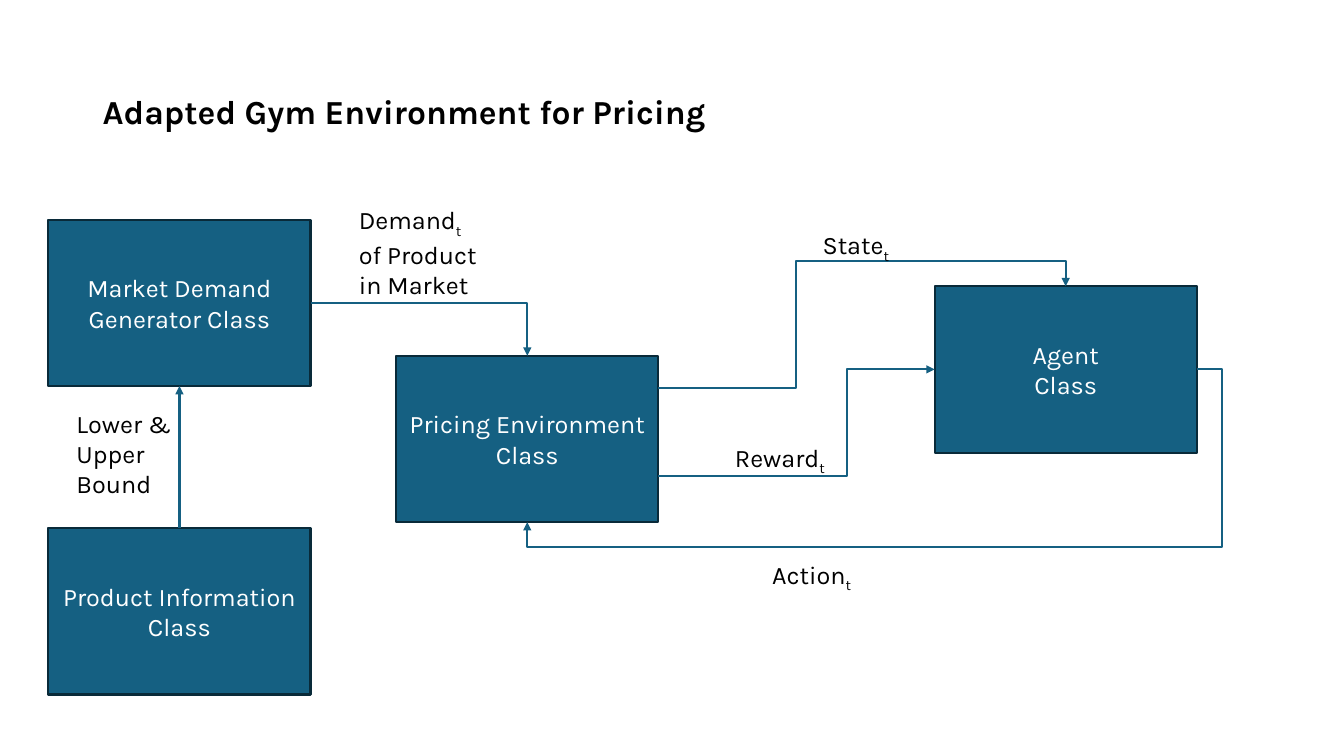
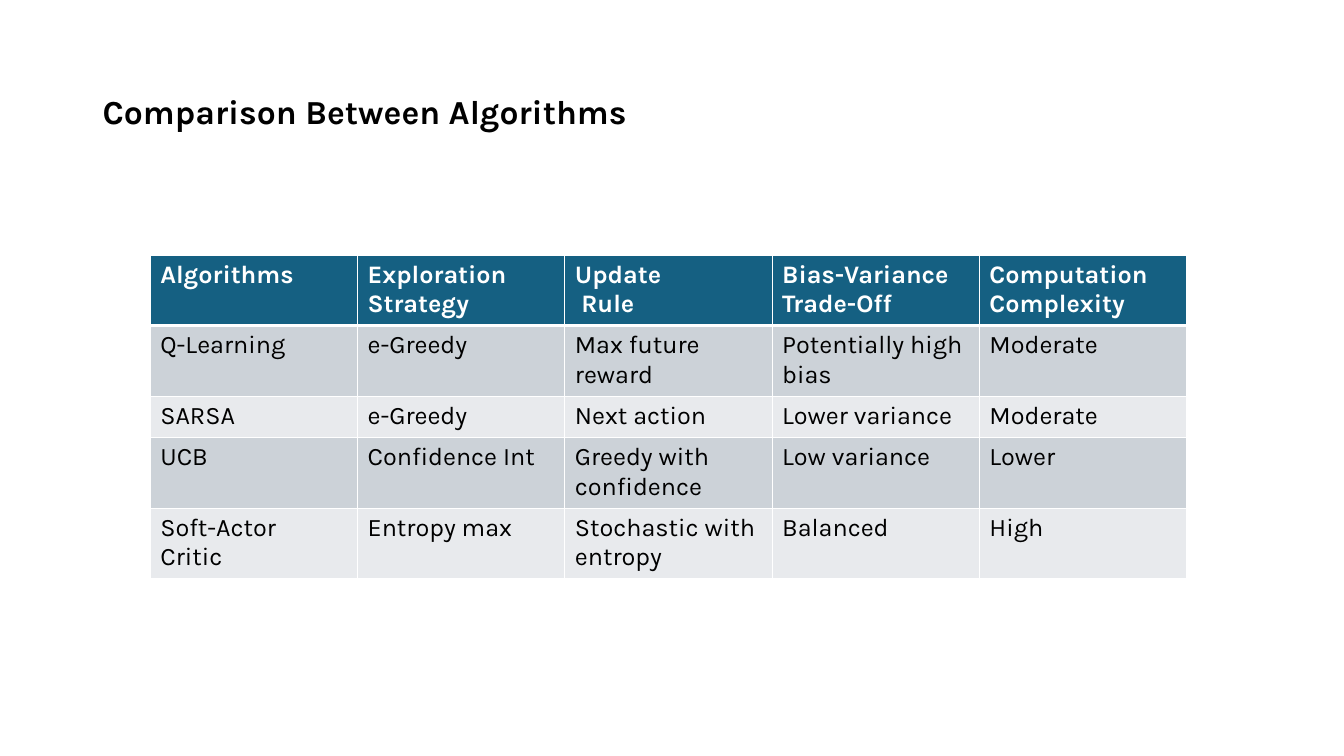
"""Build two slides on reinforcement learning for pricing: class diagram and algorithm comparison."""
import pptx
import pptx.dml.color
import pptx.enum.shapes
import pptx.enum.text
import pptx.oxml
import pptx.oxml.ns
import pptx.util
from pptx.util import Inches

RGB = pptx.dml.color.RGBColor.from_string
ALIGN = pptx.enum.text.PP_ALIGN
MIDDLE = pptx.enum.text.MSO_ANCHOR.MIDDLE
CONNECTOR = pptx.enum.shapes.MSO_CONNECTOR
NS = pptx.oxml.ns.nsdecls("a")
TOP, LEFT, BOTTOM, RIGHT = range(4)

THEME = {
    "blue": "156082", "outline": "092A39", "white": "FFFFFF", "bands": ["E8EAED", "CCD2D8"],
    "line": pptx.util.Pt(1.5), "thin": 12700, "thick": 38100,
    "title": {"name": "Karla", "size": pptx.util.Pt(24), "bold": True, "color": "000000"},
    "body": {"name": "Karla", "size": pptx.util.Pt(18), "bold": False, "color": "000000"},
}
THEME["on_blue"] = THEME["body"] | {"color": THEME["white"]}
THEME["header"] = THEME["on_blue"] | {"bold": True}


def write(frame, lines, style, **paragraph_format):
    """Fill a text frame with one paragraph per line; text after an underscore mark is a subscript t."""
    frame.word_wrap = True
    for index, line in enumerate(lines):
        paragraph = frame.add_paragraph() if index else frame.paragraphs[0]
        for key, value in paragraph_format.items():
            setattr(paragraph, key, value)
        before, mark, after = line.partition("_t")
        for text in filter(None, (before, mark[1:], after)):
            run = paragraph.add_run()
            run.text = text
            for key, value in style.items():
                if key == "color":
                    run.font.color.rgb = RGB(value)
                else:
                    setattr(run.font, key, value)
            if mark and text == "t":
                run._r.get_or_add_rPr().set("baseline", "-25000")


def titled_slide(title):
    """Add a blank slide with the shared title style."""
    slide = deck.slides.add_slide(deck.slide_layouts[6])
    heading = slide.shapes.add_textbox(Inches(0.92), Inches(0.4), Inches(11.5), Inches(1.45))
    heading.text_frame.vertical_anchor = MIDDLE
    write(heading.text_frame, [title], THEME["title"], line_spacing=0.9)
    return slide


deck = pptx.Presentation()
deck.slide_width, deck.slide_height = Inches(13.33), Inches(7.5)

diagram = titled_slide("Adapted Gym Environment for Pricing")
class_places = {
    "environment": (3.93, 3.53, ["Pricing Environment", "Class"]),
    "market": (0.48, 2.18, ["Market Demand Generator Class"]),
    "product": (0.48, 5.24, ["Product Information", "Class"]),
    "agent": (9.27, 2.84, ["Agent", "Class"]),
}
classes = {}
for key, (left, top, lines) in class_places.items():
    box = diagram.shapes.add_shape(pptx.enum.shapes.MSO_SHAPE.RECTANGLE,
                                   Inches(left), Inches(top), Inches(2.6), Inches(1.65))
    box.shadow.inherit = False
    box.fill.solid()
    box.fill.fore_color.rgb = RGB(THEME["blue"])
    box.line.color.rgb = RGB(THEME["outline"])
    box.line.width = THEME["line"]
    box.text_frame.vertical_anchor = MIDDLE
    write(box.text_frame, lines, THEME["on_blue"], alignment=ALIGN.CENTER)
    classes[key] = box

environment_right = 6.53
flows = [
    ("market", RIGHT, "environment", TOP, "bentConnector2", []),
    ("product", TOP, "market", BOTTOM, "line", []),
    (None, 4.72, "agent", LEFT, "bentConnector3", [68300]),
    ("agent", RIGHT, "environment", BOTTOM, "bentConnector4", [-3800, 116500]),
    (None, 3.85, "agent", TOP, "bentConnector4", [33900, 124700]),
]
for source, start, target, end, route, bends in flows:
    kind = CONNECTOR.STRAIGHT if route == "line" else CONNECTOR.ELBOW
    start_y = 0 if source else start
    flow = diagram.shapes.add_connector(kind, Inches(environment_right), Inches(start_y), 0, 0)
    if source:
        flow.begin_connect(classes[source], start)
    flow.end_connect(classes[target], end)
    flow.line.color.rgb = RGB(THEME["blue"])
    flow.line.width = THEME["line"]
    flow.line._get_or_add_ln().append(pptx.oxml.parse_xml(f'<a:tailEnd {NS} type="triangle"/>'))
    properties = flow._element.spPr
    properties.append(pptx.oxml.parse_xml(f"<a:effectLst {NS}/>"))
    geometry = properties.find(pptx.oxml.ns.qn("a:prstGeom"))
    geometry.set("prst", route)
    guides = geometry.find(pptx.oxml.ns.qn("a:avLst"))
    for number, bend in enumerate(bends, 1):
        guides.append(pptx.oxml.parse_xml(f'<a:gd {NS} name="adj{number}" fmla="val {bend}"/>'))

flow_labels = [
    (8.06, 2.23, 1.21, 0.4, ["State_t"]),
    (7.19, 4.34, 1.21, 0.4, ["Reward_t"]),
    (7.56, 5.5, 1.21, 0.4, ["Action_t"]),
    (0.66, 4, 1.41, 1.01, ["Lower &", "Upper", "Bound"]),
    (3.46, 1.98, 1.41, 1.01, ["Demand_t of Product in Market"]),
]
for *place, lines in flow_labels:
    label = diagram.shapes.add_textbox(*map(Inches, place))
    label.text_frame.auto_size = pptx.enum.text.MSO_AUTO_SIZE.SHAPE_TO_FIT_TEXT
    write(label.text_frame, lines, THEME["body"])

comparison = titled_slide("Comparison Between Algorithms")
rows = [
    ["Algorithms", "Exploration Strategy", "Update\n Rule", "Bias-Variance Trade-Off",
     "Computation Complexity"],
    ["Q-Learning", "e-Greedy", "Max future reward", "Potentially high bias", "Moderate"],
    ["SARSA", "e-Greedy", "Next action", "Lower variance", "Moderate"],
    ["UCB", "Confidence Int", "Greedy with confidence", "Low variance", "Lower"],
    ["Soft-Actor\nCritic", "Entropy max", "Stochastic with entropy", "Balanced", "High"],
]
row_height = 0.41
algorithms = comparison.shapes.add_table(len(rows), len(rows[0]), Inches(1.49), Inches(2.53),
                                         Inches(10.28), Inches(row_height * len(rows))).table
for row_index, row in enumerate(rows):
    header = row_index == 0
    fill = THEME["blue"] if header else THEME["bands"][row_index % 2]
    widths = {"L": THEME["thin"], "R": THEME["thin"],
              "T": THEME["thick"] if row_index == 1 else THEME["thin"],
              "B": THEME["thick"] if header else THEME["thin"]}
    for column_index, text in enumerate(row):
        cell = algorithms.cell(row_index, column_index)
        write(cell.text_frame, text.split("\n"), THEME["header" if header else "body"])
        borders = cell._tc.get_or_add_tcPr()
        for side, width in widths.items():
            borders.append(pptx.oxml.parse_xml(
                f'<a:ln{side} {NS} w="{width}"><a:solidFill><a:srgbClr val="{THEME["white"]}"/>'
                f"</a:solidFill></a:ln{side}>"))
        cell.fill.solid()
        cell.fill.fore_color.rgb = RGB(fill)

deck.save("out.pptx")
